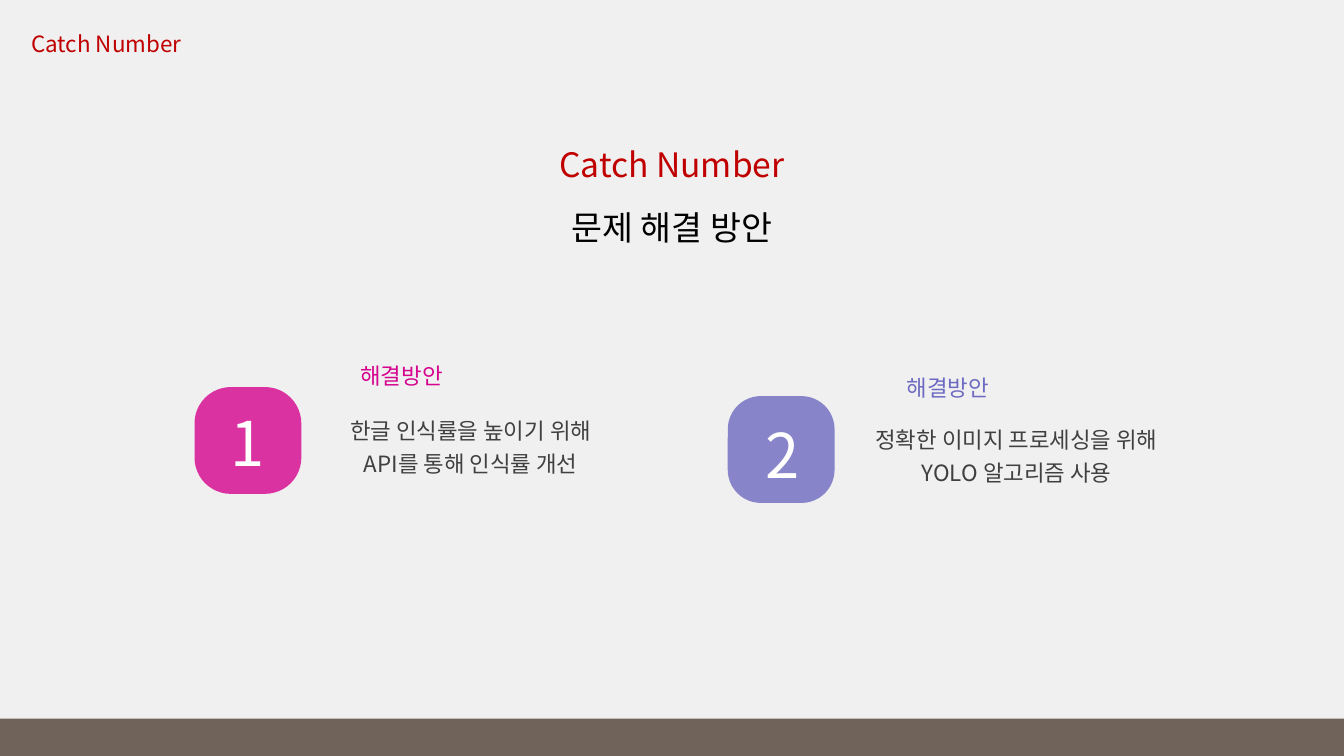
from lxml.etree import SubElement
from pptx import Presentation
from pptx.dml.color import RGBColor
from pptx.enum.shapes import MSO_SHAPE
from pptx.enum.text import MSO_AUTO_SIZE, PP_ALIGN
from pptx.oxml.ns import qn
from pptx.util import Inches, Pt

FONT = "Noto Sans CJK KR"
CELL = Inches(0.1)  # grid of 133.3 columns by 75 rows
COLUMNS, ROWS = 133.33, 75
BADGE_SIZE = 10.6

# Badge column and row, heading, body and digit offsets from the badge
CARDS = [
    dict(number="1", color="D5038E", column=19.3, row=38.4, corner=0.34,
         heading=(14.6, -3.5), digit=(2.6, -0.2), body=(12.9, 2), body_width=29,
         lines=["한글 인식률을 높이기 위해", "API를 통해 인식률 개선"]),
    dict(number="2", color="6D6AC1", column=72.2, row=39.3, corner=0.31,
         heading=(15.9, -3.2), digit=(2.7, 0.1), body=(11.9, 2), body_width=33.5,
         lines=["정확한 이미지 프로세싱을 위해", "YOLO 알고리즘 사용"]),
]


def rgb(value):
    return RGBColor.from_string(value)


def grid(*cells):
    return [round(cell * CELL) for cell in cells]


def add_block(page, kind, area, color, opacity=100):
    block = page.shapes.add_shape(kind, *grid(*area))
    block.shadow.inherit = False
    block.fill.solid()
    block.fill.fore_color.rgb = rgb(color)
    block.line.fill.background()
    if opacity < 100:
        tint = block.fill._xPr.find(".//" + qn("a:srgbClr"))
        SubElement(tint, qn("a:alpha"), val=str(opacity * 1000))
    return block


def add_text(page, area, lines, size, color, align=PP_ALIGN.CENTER,
             spacing=1.2, wrap=False, tracking=None):
    box = page.shapes.add_textbox(*grid(*area))
    frame = box.text_frame
    frame.word_wrap = wrap
    frame.auto_size = MSO_AUTO_SIZE.SHAPE_TO_FIT_TEXT
    for index, line in enumerate(lines):
        para = frame.add_paragraph() if index else frame.paragraphs[0]
        para.alignment = align
        para.line_spacing = spacing
        span = para.add_run()
        span.text = line
        span.font.size = Pt(size)
        span.font.name = FONT
        span.font.color.rgb = rgb(color)
        properties = span.font._element
        SubElement(properties, qn("a:ea"), typeface=FONT)
        if tracking is not None:
            properties.set("spc", str(tracking))


def add_card(page, number, color, column, row, corner, heading, digit, body,
             body_width, lines):
    def area(offset, width, height):
        return column + offset[0], row + offset[1], width, height

    add_text(page, area(heading, 11, 3.8), ["해결방안"], 16, color, PP_ALIGN.RIGHT)
    badge = add_block(page, MSO_SHAPE.ROUNDED_RECTANGLE,
                      area((0, 0), BADGE_SIZE, BADGE_SIZE), color, opacity=80)
    badge.adjustments[0] = corner
    add_text(page, area(digit, 5.4, 8.7), [number], 44, "FFFFFF", tracking=-150)
    add_text(page, area(body, body_width, 7), lines, 16, "404040")


def main():
    deck = Presentation()
    deck.slide_width, deck.slide_height = grid(COLUMNS, ROWS)
    page = deck.slides.add_slide(deck.slide_layouts[6])

    # Backdrop and footer band
    add_block(page, MSO_SHAPE.RECTANGLE, (0, 0, COLUMNS, ROWS), "F0F0F0")
    add_block(page, MSO_SHAPE.RECTANGLE, (0, 71.3, COLUMNS, 3.7), "70635A")

    # Titles
    add_text(page, (38.1, 11.8, 57.1, 6.1), ["Catch Number"], 24, "C00000",
             spacing=1.5, wrap=True)
    add_text(page, (2, 1.2, 17.1, 4.4), ["Catch Number"], 16, "C00000", spacing=1.5)
    add_text(page, (38.1, 18, 57.1, 6.3), ["문제 해결 방안"], 24, "000000",
             spacing=1.5, wrap=True)

    # Solution cards
    for card in CARDS:
        add_card(page, **card)

    deck.save("out.pptx")


if __name__ == "__main__":
    main()
